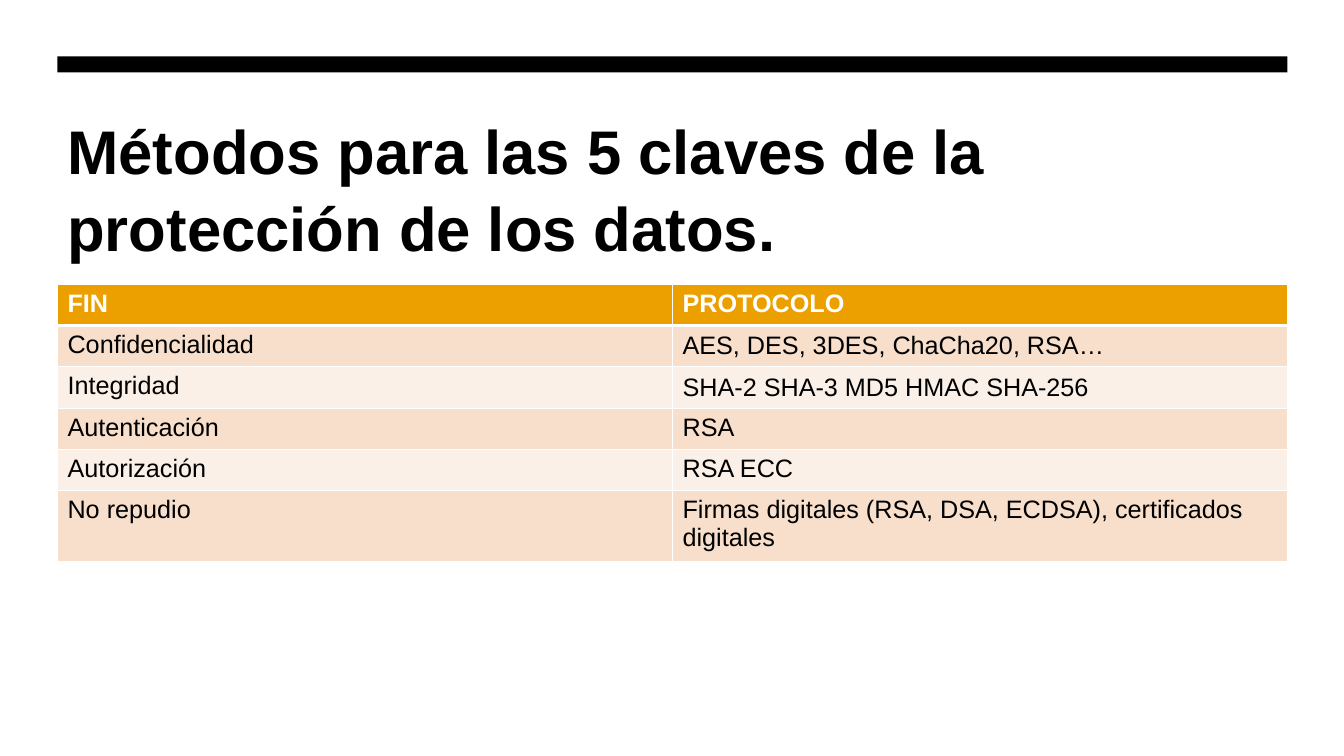
from typing import Any, NamedTuple

from lxml import etree
from pptx import Presentation
from pptx.dml.color import RGBColor
from pptx.enum.shapes import MSO_SHAPE
from pptx.enum.text import MSO_ANCHOR
from pptx.oxml.ns import qn
from pptx.util import Emu, Pt

RECT = MSO_SHAPE.RECTANGLE
TOP, MIDDLE, BOTTOM = MSO_ANCHOR.TOP, MSO_ANCHOR.MIDDLE, MSO_ANCHOR.BOTTOM
BLACK, WHITE, AMBER = "000000", "FFFFFF", "EBA000"
BANDS = ("FBF0E7", "F7DFCC")
SCALE = 9144  # EMU in one px, 100 px to the inch
LEFT, WIDTH = 57, 1220
ROW = 41


class Row(NamedTuple):
    goal: str
    method: str
    anchor: Any = TOP


ROWS = (
    Row("FIN", "PROTOCOLO"),
    Row("Confidencialidad", "AES, DES, 3DES, ChaCha20, RSA…", MIDDLE),
    Row("Integridad", "SHA-2 SHA-3 MD5 HMAC SHA-256", MIDDLE),
    Row("Autenticación", "RSA"),
    Row("Autorización", "RSA ECC"),
    Row("No repudio", "Firmas digitales (RSA, DSA, ECDSA), certificados digitales"),
)


def px(size: int) -> Emu:
    return Emu(size * SCALE)


def color(code: str) -> RGBColor:
    return RGBColor.from_string(code)


def write(frame: Any, text: str, ink: str, form: dict[str, Any]) -> None:
    frame.text = text
    font = frame.paragraphs[0].runs[0].font
    for name, value in {"name": "Arial", **form}.items():
        setattr(font, name, value)
    font.color.rgb = color(ink)


def border(cell: Any, base: int) -> None:
    """Draw white edges; base is the width of the bottom one in points."""
    props = cell._tc.get_or_add_tcPr()
    widths = {"a:lnL": 1, "a:lnR": 1, "a:lnT": 1, "a:lnB": base}
    for spot, (tag, width) in enumerate(widths.items()):
        line = etree.Element(qn(tag), w=str(Pt(width)))
        fill = etree.SubElement(line, qn("a:solidFill"))
        etree.SubElement(fill, qn("a:srgbClr"), val=WHITE)
        props.insert(spot, line)


def add_bar(slide: Any) -> None:
    bar = slide.shapes.add_shape(RECT, px(LEFT), px(56), px(WIDTH), px(16))
    bar.shadow.inherit = False
    bar.fill.solid()
    bar.fill.fore_color.rgb = color(BLACK)
    bar.line.fill.background()


def add_title(slide: Any) -> None:
    box = slide.shapes.add_textbox(px(LEFT), px(107), px(WIDTH), px(160))
    frame = box.text_frame
    frame.word_wrap = True
    frame.vertical_anchor = BOTTOM
    write(frame, "Métodos para las 5 claves de la protección de los datos.",
          BLACK, {"size": Pt(44), "bold": True})
    frame.paragraphs[0].line_spacing = 1.05


def add_grid(slide: Any) -> None:
    grid = slide.shapes.add_table(
        len(ROWS), 2, px(LEFT), px(282), px(WIDTH), px(ROW * len(ROWS))).table
    for at, row in enumerate(ROWS):
        head = at == 0
        for col, text in enumerate((row.goal, row.method)):
            cell = grid.cell(at, col)
            cell.fill.solid()
            cell.fill.fore_color.rgb = color(AMBER if head else BANDS[at % 2])
            cell.vertical_anchor = row.anchor if col else TOP
            write(cell.text_frame, text, WHITE if head else BLACK,
                  {"size": Pt(18), "bold": head})
            border(cell, 3 if head else 1)


def main() -> None:
    deck = Presentation()
    deck.slide_width, deck.slide_height = px(1333), px(750)
    slide = deck.slides.add_slide(deck.slide_layouts[6])
    add_bar(slide)
    add_title(slide)
    add_grid(slide)
    deck.save("out.pptx")


if __name__ == "__main__":
    main()
